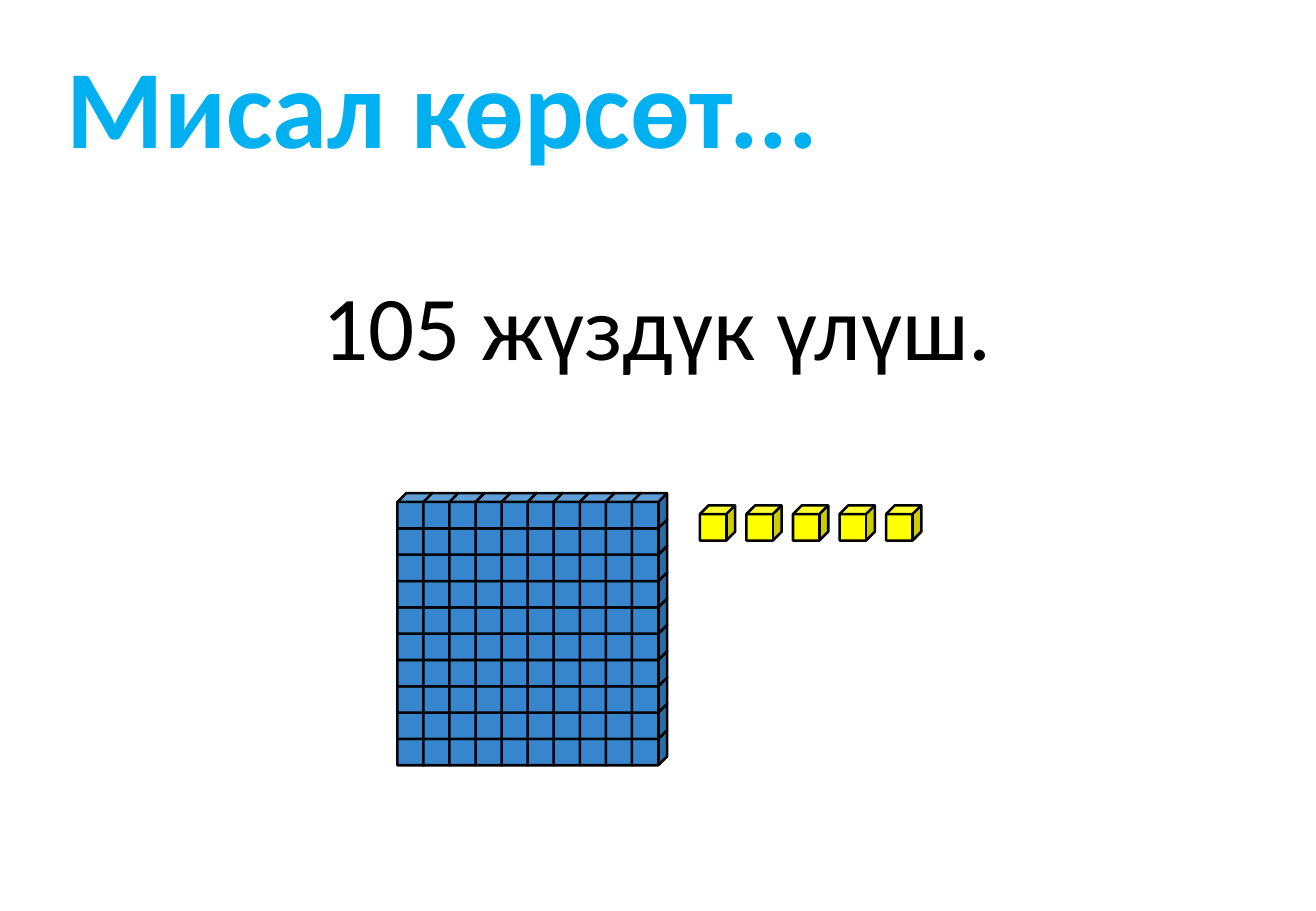
from pptx import Presentation
from pptx.dml.color import RGBColor
from pptx.enum.shapes import MSO_SHAPE
from pptx.enum.text import MSO_ANCHOR, MSO_AUTO_SIZE, PP_ALIGN
from pptx.util import Inches, Pt

COLORS = {
    "title": "00B0F0",
    "text": "000000",
    "outline": "000000",
    "hundred": "3786CD",
    "unit": "FFFF00",
}
CUBE_SIZE = 0.29
BLOCK_SIDE = 10
BLOCK_LEFT, BLOCK_RIGHT = 3.27, 5.2
BLOCK_TOP, BLOCK_BOTTOM = 4.06, 6.01
UNIT_COUNT = 5
UNIT_LEFT, UNIT_TOP, UNIT_PITCH = 5.76, 4.16, 0.383

presentation = Presentation()
presentation.slide_width = Inches(10.83)
presentation.slide_height = Inches(7.5)
slide = presentation.slides.add_slide(presentation.slide_layouts[5])


def write_line(shape, text, size, color, alignment, bold=False):
    """Put one formatted line of text into the shape."""
    paragraph = shape.text_frame.paragraphs[0]
    paragraph.alignment = alignment
    run = paragraph.add_run()
    run.text = text
    run.font.name = "Calibri"
    run.font.size = Pt(size)
    run.font.bold = bold
    run.font.color.rgb = RGBColor.from_string(COLORS[color])


def add_cube(shapes, left, top, color):
    cube = shapes.add_shape(MSO_SHAPE.CUBE, Inches(left), Inches(top),
                            Inches(CUBE_SIZE), Inches(CUBE_SIZE))
    cube.shadow.inherit = False
    cube.fill.solid()
    cube.fill.fore_color.rgb = RGBColor.from_string(COLORS[color])
    cube.line.color.rgb = RGBColor.from_string(COLORS["outline"])
    cube.line.width = Pt(1.5)


# Title
title = slide.shapes.title
title.left, title.top = Inches(0.24), Inches(0.26)
title.width, title.height = Inches(7.54), Inches(1.21)
title.text_frame.margin_left = Inches(0.31)
title.text_frame.vertical_anchor = MSO_ANCHOR.TOP
title.text_frame.auto_size = MSO_AUTO_SIZE.SHAPE_TO_FIT_TEXT
write_line(title, "Мисал көрсөт...", 66, "title", PP_ALIGN.LEFT, bold=True)

# Number to show
number = slide.shapes.add_textbox(Inches(2.51), Inches(2.17), Inches(5.8), Inches(1.01))
number.text_frame.word_wrap = False
number.text_frame.auto_size = MSO_AUTO_SIZE.SHAPE_TO_FIT_TEXT
write_line(number, "105 жүздүк үлүш.", 54, "text", PP_ALIGN.CENTER)

# Hundred block: columns left to right, each stacked from the bottom up
hundred_block = slide.shapes.add_group_shape()
column_pitch = (BLOCK_RIGHT - BLOCK_LEFT) / (BLOCK_SIDE - 1)
row_pitch = (BLOCK_BOTTOM - BLOCK_TOP) / (BLOCK_SIDE - 1)
for column in range(BLOCK_SIDE):
    for row in range(BLOCK_SIDE):
        add_cube(hundred_block.shapes, BLOCK_LEFT + column * column_pitch,
                 BLOCK_BOTTOM - row * row_pitch, "hundred")

# Single units
units = slide.shapes.add_group_shape()
for index in range(UNIT_COUNT):
    add_cube(units.shapes, UNIT_LEFT + index * UNIT_PITCH, UNIT_TOP, "unit")

presentation.save("out.pptx")
